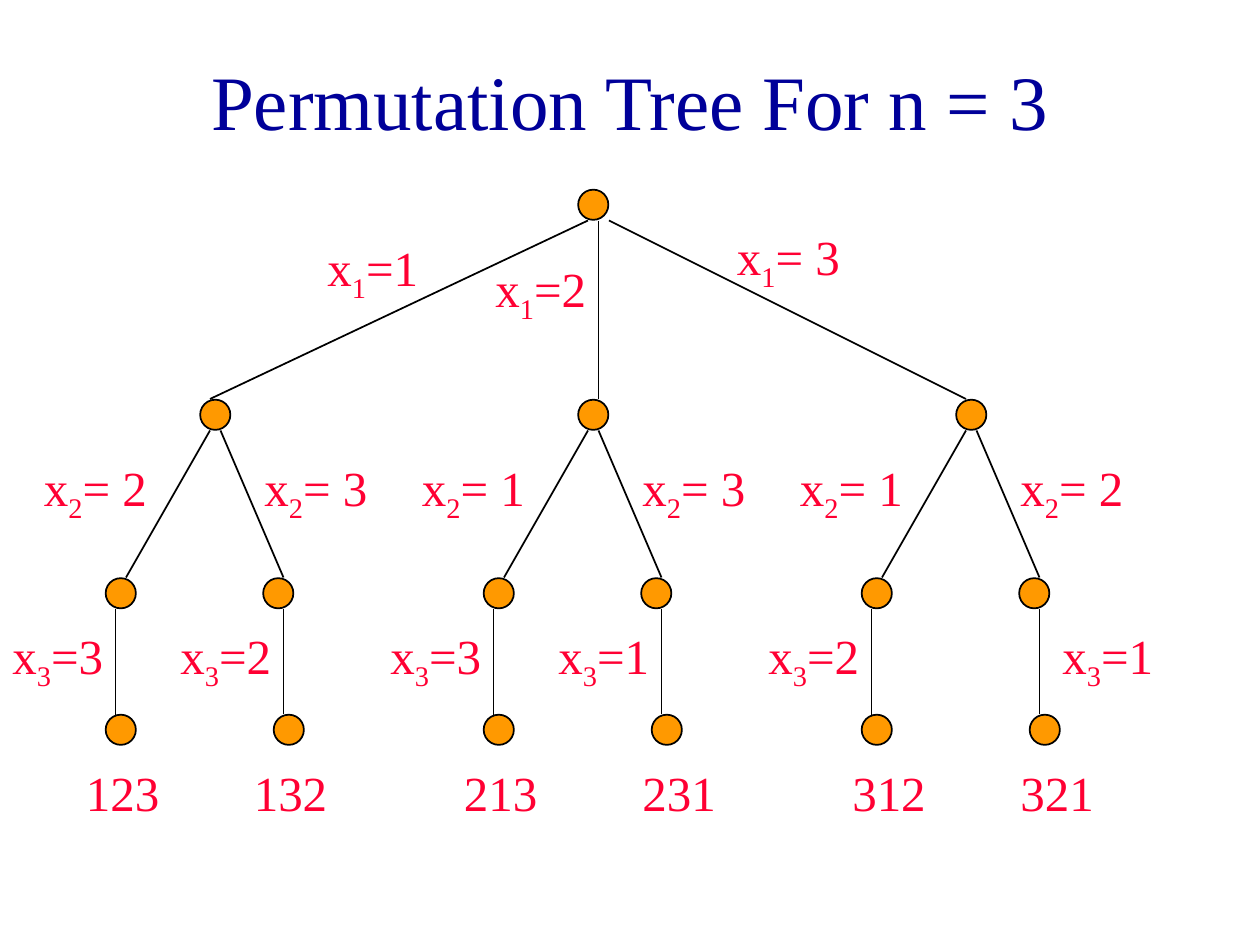
from dataclasses import dataclass

from lxml.etree import SubElement
from pptx import Presentation
from pptx.dml.color import RGBColor
from pptx.enum.shapes import MSO_CONNECTOR, MSO_SHAPE
from pptx.enum.text import MSO_ANCHOR, MSO_AUTO_SIZE, PP_ALIGN
from pptx.oxml.ns import qn
from pptx.util import Emu, Pt


@dataclass(frozen=True)
class Theme:
    font: str = "Times New Roman"
    title_color: RGBColor = RGBColor(0x00, 0x00, 0x99)
    label_color: RGBColor = RGBColor(0xFF, 0x00, 0x33)
    node_color: RGBColor = RGBColor(0xFF, 0x99, 0x00)
    line_color: RGBColor = RGBColor(0x00, 0x00, 0x00)
    title_size: Pt = Pt(44)
    label_size: Pt = Pt(28)
    label_space: Pt = Pt(17.5)
    line_width: Pt = Pt(1)


EMU_PER_PX = 9525
NODE_SIZE = 23

ROOT_X, ROOT_Y = 452, 156
BRANCH_STEP = 288
BRANCH_Y, CHILD_Y, LEAF_Y = 316, 452, 556
CHILD_LABEL_Y, LEAF_LABEL_Y, RESULT_Y = 344, 472, 576

ROOT_EDGES = [(448, 160), (456, 456), (464, 736)]
ROOT_LABELS = [("=1", 240, 176), ("=2", 368, 192), ("= 3", 552, 168)]

# Each side: child node, leaf node, edge start, edge end, leaf edge, leaf edge bottom, child label
SIDES = [
    (-72, -72, -4, -68, -76, 552, -140),
    (48, 56, 4, 52, 52, 544, 28),
]

# Each path: child value, leaf value, leaf label offset, result, result offset
BRANCHES = [
    [("= 2", "=3", -164, "123", -108), ("= 3", "=2", -36, "132", 20)],
    [("= 1", "=3", -164, "213", -108), ("= 3", "=1", -36, "231", 28)],
    [("= 1", "=2", -164, "312", -100), ("= 2", "=1", 60, "321", 28)],
]


def px(length):
    return Emu(round(length * EMU_PER_PX))


class SlideBuilder:
    def __init__(self, slide, theme):
        self.slide = slide
        self.theme = theme

    def style_run(self, run, size, color):
        run.font.name = self.theme.font
        run.font.size = size
        run.font.color.rgb = color

    def title(self, text, left, top, width, height):
        title = self.slide.shapes.title
        title.left, title.top = px(left), px(top)
        title.width, title.height = px(width), px(height)
        text_frame = title.text_frame
        text_frame.text = text
        text_frame.vertical_anchor = MSO_ANCHOR.MIDDLE
        paragraph = text_frame.paragraphs[0]
        paragraph.alignment = PP_ALIGN.CENTER
        self.style_run(paragraph.runs[0], self.theme.title_size, self.theme.title_color)

    def node(self, center_x, center_y):
        shape = self.slide.shapes.add_shape(
            MSO_SHAPE.OVAL,
            px(center_x - NODE_SIZE / 2),
            px(center_y - NODE_SIZE / 2),
            px(NODE_SIZE),
            px(NODE_SIZE),
        )
        shape.shadow.inherit = False
        shape.fill.solid()
        shape.fill.fore_color.rgb = self.theme.node_color
        shape.line.color.rgb = self.theme.line_color
        shape.line.width = self.theme.line_width

    def edge(self, start_x, start_y, end_x, end_y):
        connector = self.slide.shapes.add_connector(
            MSO_CONNECTOR.STRAIGHT, px(start_x), px(start_y), px(end_x), px(end_y)
        )
        connector.line.color.rgb = self.theme.line_color
        connector.line.width = self.theme.line_width
        SubElement(connector._element.spPr, qn("a:effectLst"))

    def label(self, text, left, top, width, height):
        text_box = self.slide.shapes.add_textbox(px(left), px(top), px(width), px(height))
        text_frame = text_box.text_frame
        text_frame.word_wrap = True
        text_frame.auto_size = MSO_AUTO_SIZE.SHAPE_TO_FIT_TEXT
        text_frame.text = text
        paragraph = text_frame.paragraphs[0]
        paragraph.space_before = self.theme.label_space
        self.style_run(paragraph.runs[0], self.theme.label_size, self.theme.label_color)
        return paragraph

    def variable(self, index, value, left, top):
        paragraph = self.label("x", left, top, 112, 60)
        for text, baseline in ((str(index), "-25000"), (value, "0")):
            run = paragraph.add_run()
            run.text = text
            self.style_run(run, self.theme.label_size, self.theme.label_color)
            run.font._element.set("baseline", baseline)

    def result(self, text, left, top):
        self.label(text, left, top, 96, 55)

    def branch(self, center_x, paths):
        for side, path in zip(SIDES, paths):
            child, leaf, start, end, leaf_edge, leaf_bottom, child_label = side
            child_value, leaf_value, leaf_label, result, result_left = path
            self.edge(center_x + start, 328, center_x + end, 440)
            self.node(center_x + child, CHILD_Y)
            self.variable(2, child_value, center_x + child_label, CHILD_LABEL_Y)
            self.edge(center_x + leaf_edge, 464, center_x + leaf_edge, leaf_bottom)
            self.node(center_x + leaf, LEAF_Y)
            self.variable(3, leaf_value, center_x + leaf_label, LEAF_LABEL_Y)
            self.result(result, center_x + result_left, RESULT_Y)


def main():
    presentation = Presentation()
    presentation.slide_width, presentation.slide_height = px(960), px(720)
    slide = presentation.slides.add_slide(presentation.slide_layouts[5])
    builder = SlideBuilder(slide, Theme())

    builder.title("Permutation Tree For n = 3", 72, 16, 816, 120)
    builder.node(ROOT_X, ROOT_Y)
    for position, (edge, label, paths) in enumerate(zip(ROOT_EDGES, ROOT_LABELS, BRANCHES)):
        center_x = ROOT_X + (position - 1) * BRANCH_STEP
        builder.edge(edge[0], 168, edge[1], 304)
        builder.node(center_x, BRANCH_Y)
        builder.variable(1, *label)
        builder.branch(center_x, paths)

    presentation.save("out.pptx")


if __name__ == "__main__":
    main()
